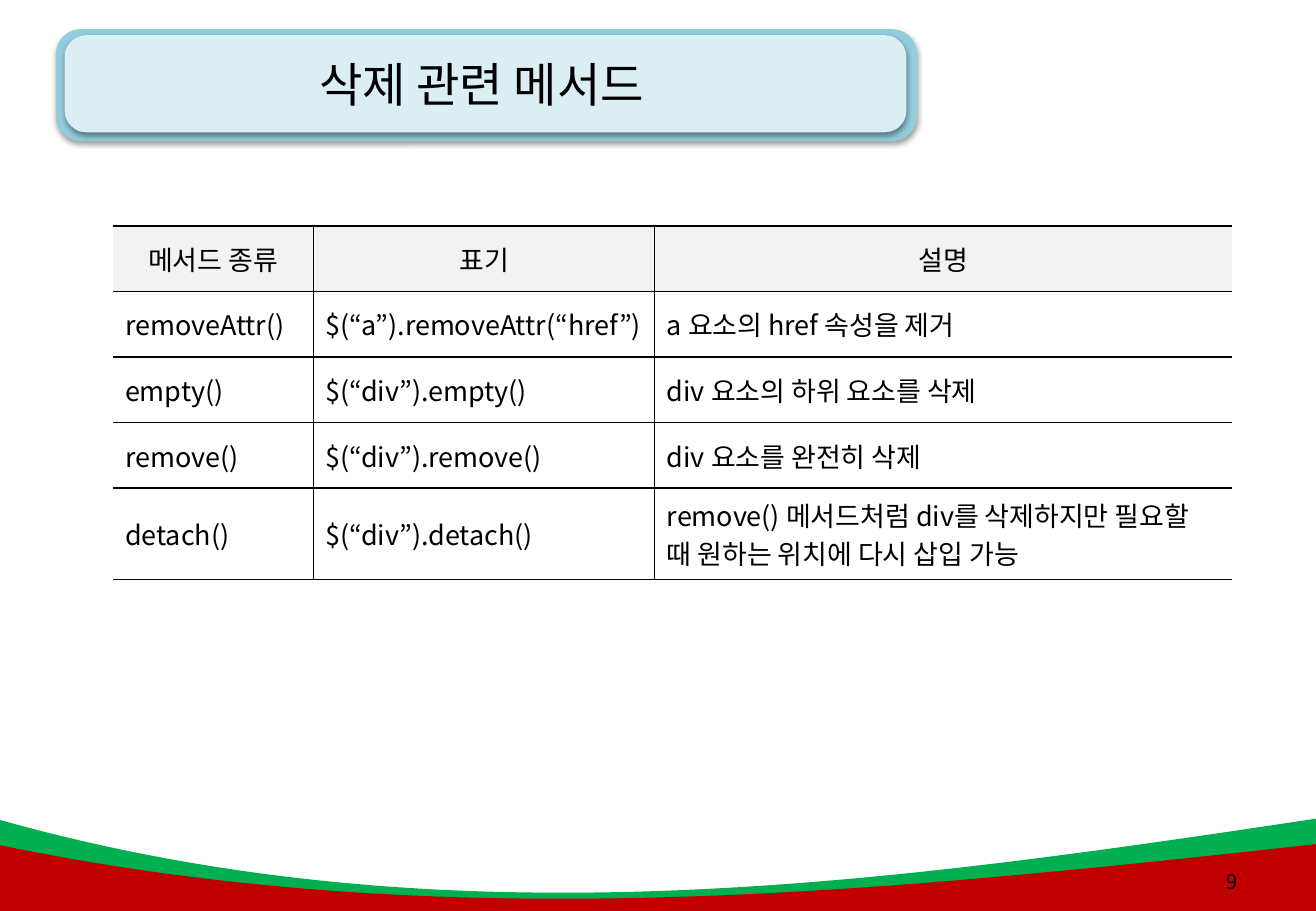
from dataclasses import dataclass

from lxml.etree import SubElement
from pptx import Presentation
from pptx.dml.color import RGBColor
from pptx.enum.shapes import MSO_SHAPE
from pptx.enum.text import MSO_ANCHOR, PP_ALIGN
from pptx.oxml.ns import qn
from pptx.slide import Slide
from pptx.table import _Cell
from pptx.text.text import TextFrame
from pptx.util import Pt

BLACK = RGBColor(0x00, 0x00, 0x00)
GREEN = RGBColor(0x00, 0xB0, 0x50)
RED = RGBColor(0xC0, 0x00, 0x00)
BANNER_EDGE = RGBColor(0x93, 0xCD, 0xDD)
BANNER_FACE = RGBColor(0xDB, 0xEE, 0xF4)
HEADER_GRAY = RGBColor(0xF2, 0xF2, 0xF2)
FONT = "Noto Sans CJK KR"
SLIDE_WIDTH, SLIDE_HEIGHT = 780, 540
CURVE_STEPS = 60


@dataclass(frozen=True)
class Box:
    left: float
    top: float
    width: float
    height: float

    def lengths(self) -> tuple[Pt, Pt, Pt, Pt]:
        return Pt(self.left), Pt(self.top), Pt(self.width), Pt(self.height)


@dataclass(frozen=True)
class Wave:
    edge_y: float
    first_control_y: float
    second_control_y: float
    color: RGBColor


@dataclass(frozen=True)
class Banner:
    box: Box
    color: RGBColor


GREEN_WAVE = Wave(485.28, 560.16, 524.88, GREEN)
RED_WAVE = Wave(500.4, 555.84, 529.2, RED)
WAVE_X = (-2.88, 262.08, 517.68, SLIDE_WIDTH)
BANNERS = (
    Banner(Box(33.12, 17.28, 510.48, 66.24), BANNER_EDGE),
    Banner(Box(38.3, 20.9, 499, 57.6), BANNER_FACE),
)
TITLE_BOX = Box(33.12, 15.84, 504.72, 67.68)
NUMBER_BOX = Box(697, 508.3, 43.9, 28.8)
TABLE_BOX = Box(66.96, 133.92, 663.12, 209.52)
COLUMN_WIDTHS = (118.8, 202.32, 342)
ROW_HEIGHTS = (38.88, 38.88, 38.88, 38.88, 54)
METHODS = (
    ("메서드 종류", "표기", "설명"),
    ("removeAttr()", "$(“a”).removeAttr(“href”)", "a 요소의 href 속성을 제거"),
    ("empty()", "$(“div”).empty()", "div 요소의 하위 요소를 삭제"),
    ("remove()", "$(“div”).remove()", "div 요소를 완전히 삭제"),
    ("detach()", "$(“div”).detach()",
     "remove() 메서드처럼 div를 삭제하지만 필요할 때 원하는 위치에 다시 삽입 가능"),
)


def write_text(frame: TextFrame, text: str, size: float, alignment: PP_ALIGN) -> None:
    frame.word_wrap = True
    paragraph = frame.paragraphs[0]
    paragraph.alignment = alignment
    run = paragraph.add_run()
    run.text = text
    run.font.size = Pt(size)
    run.font.color.rgb = BLACK
    run.font.name = FONT
    SubElement(run.font._element, qn("a:ea"), typeface=FONT)


def bezier(values: tuple[float, ...], t: float) -> float:
    weights = ((1 - t) ** 3, 3 * t * (1 - t) ** 2, 3 * t ** 2 * (1 - t), t ** 3)
    return sum(weight * value for weight, value in zip(weights, values))


def draw_wave(slide: Slide, wave: Wave) -> None:
    heights = (wave.edge_y, wave.first_control_y, wave.second_control_y, wave.edge_y)
    steps = [step / CURVE_STEPS for step in range(CURVE_STEPS + 1)]
    points = [(Pt(bezier(WAVE_X, t)), Pt(bezier(heights, t))) for t in steps]
    points += [(Pt(x), Pt(SLIDE_HEIGHT)) for x in (WAVE_X[-1], WAVE_X[0])]
    builder = slide.shapes.build_freeform(*points[0])
    builder.add_line_segments(points[1:], close=True)
    shape = builder.convert_to_shape()
    shape.shadow.inherit = False
    shape.fill.solid()
    shape.fill.fore_color.rgb = wave.color
    shape.line.fill.background()


def draw_banner(slide: Slide, banner: Banner) -> None:
    shape = slide.shapes.add_shape(MSO_SHAPE.ROUNDED_RECTANGLE, *banner.box.lengths())
    shape.adjustments[0] = 0.225
    shape.fill.solid()
    shape.fill.fore_color.rgb = banner.color
    shape.line.fill.background()
    shape.shadow.inherit = False
    effects = shape.element.spPr.find(qn("a:effectLst"))
    shadow = SubElement(effects, qn("a:outerShdw"), blurRad=str(Pt(3.1)),
                        dist=str(Pt(1.6)), dir="5400000", rotWithShape="0")
    color = SubElement(shadow, qn("a:srgbClr"), val=str(BLACK))
    SubElement(color, qn("a:alpha"), val="38000")


def draw_title(slide: Slide) -> None:
    title = slide.shapes.title
    title.left, title.top, title.width, title.height = TITLE_BOX.lengths()
    title.text_frame.vertical_anchor = MSO_ANCHOR.MIDDLE
    write_text(title.text_frame, "삭제 관련 메서드", 28, PP_ALIGN.CENTER)
    title.element.getparent().append(title.element)


def draw_page_number(slide: Slide) -> None:
    box = slide.shapes.add_textbox(*NUMBER_BOX.lengths())
    box.text_frame.vertical_anchor = MSO_ANCHOR.MIDDLE
    write_text(box.text_frame, "9", 12, PP_ALIGN.RIGHT)


def set_borders(cell: _Cell, visible: dict[str, bool]) -> None:
    properties = cell._tc.get_or_add_tcPr()
    for position, (side, shown) in enumerate(visible.items()):
        line = SubElement(properties, qn(f"a:{side}"), w=str(Pt(1)))
        properties.insert(position, line)
        if shown:
            fill = SubElement(line, qn("a:solidFill"))
            SubElement(fill, qn("a:srgbClr"), val=str(BLACK))
        else:
            SubElement(line, qn("a:noFill"))


def draw_table(slide: Slide) -> None:
    table = slide.shapes.add_table(
        len(ROW_HEIGHTS), len(COLUMN_WIDTHS), *TABLE_BOX.lengths()).table
    table.first_row = False
    table.horz_banding = False
    for column, width in zip(table.columns, COLUMN_WIDTHS):
        column.width = Pt(width)
    for row, height in zip(table.rows, ROW_HEIGHTS):
        row.height = Pt(height)
    last_column = len(COLUMN_WIDTHS) - 1
    for row_index, texts in enumerate(METHODS):
        is_header = row_index == 0
        for column_index, text in enumerate(texts):
            cell = table.cell(row_index, column_index)
            cell.vertical_anchor = MSO_ANCHOR.MIDDLE
            if is_header:
                cell.fill.solid()
                cell.fill.fore_color.rgb = HEADER_GRAY
            else:
                cell.fill.background()
            alignment = PP_ALIGN.CENTER if is_header else PP_ALIGN.LEFT
            write_text(cell.text_frame, text, 16, alignment)
            set_borders(cell, {"lnL": column_index > 0, "lnR": column_index < last_column,
                               "lnT": True, "lnB": True})


def main() -> None:
    presentation = Presentation()
    presentation.slide_width = Pt(SLIDE_WIDTH)
    presentation.slide_height = Pt(SLIDE_HEIGHT)
    slide = presentation.slides.add_slide(presentation.slide_layouts.get_by_name("Title Only"))
    draw_wave(slide, GREEN_WAVE)
    for banner in BANNERS:
        draw_banner(slide, banner)
    draw_wave(slide, RED_WAVE)
    draw_title(slide)
    draw_page_number(slide)
    draw_table(slide)
    presentation.save("out.pptx")


if __name__ == "__main__":
    main()
